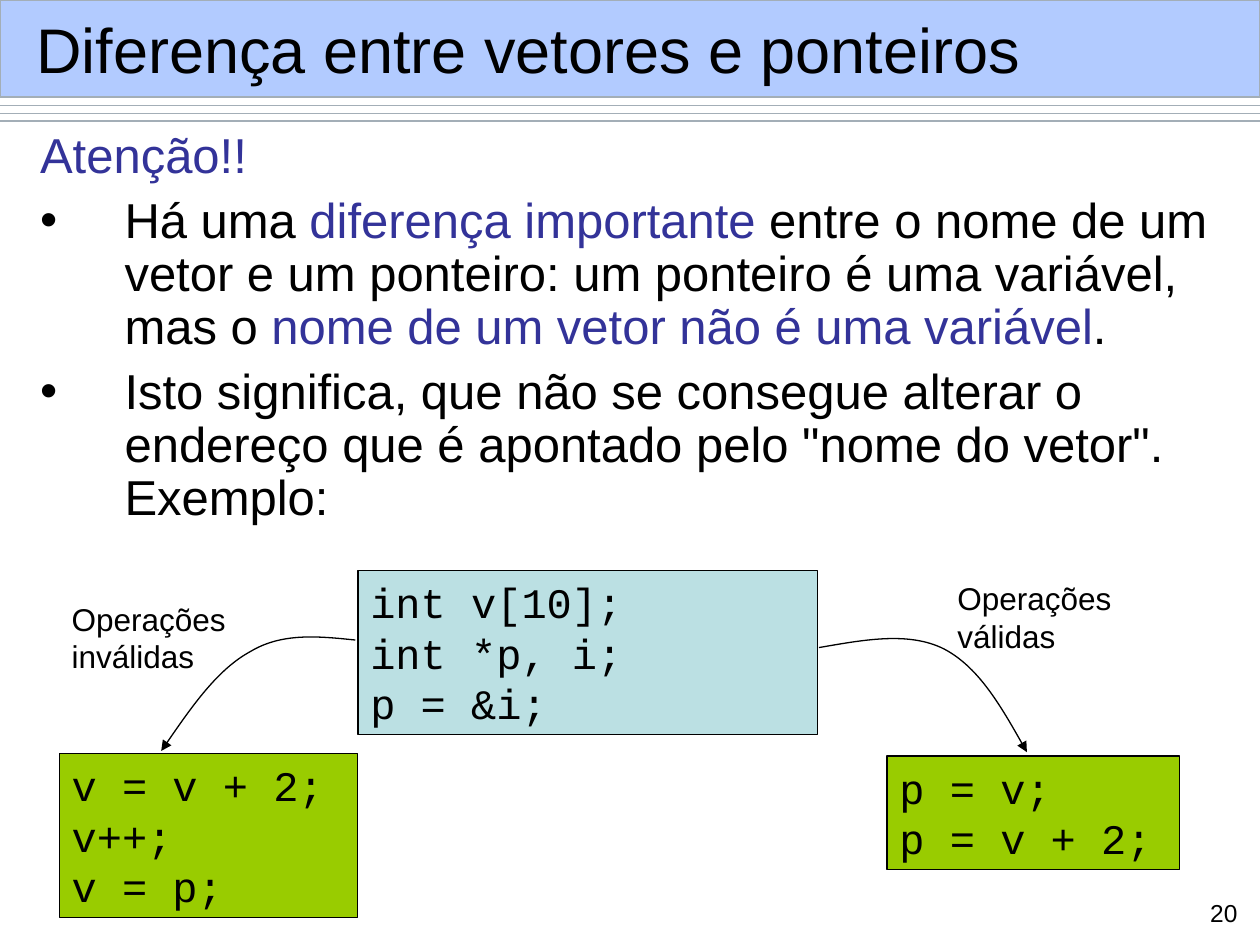
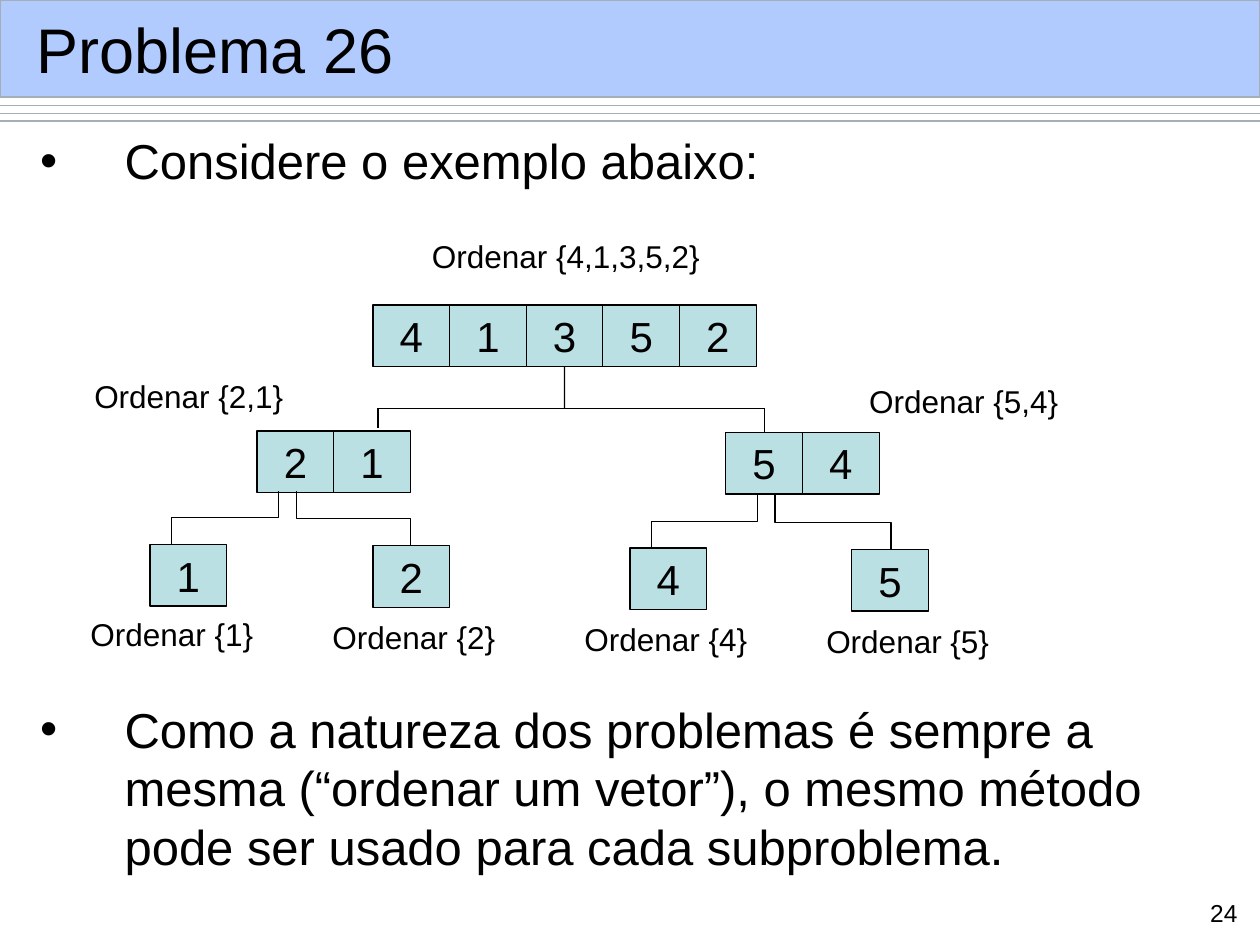
from lxml import etree
from pptx import Presentation, util as u
from pptx.dml.color import RGBColor
from pptx.enum import shapes, text
from pptx.oxml.ns import qn

BLACK = RGBColor(0x00, 0x00, 0x00)
ACCENT = RGBColor(0x33, 0x33, 0x99)
BAND = RGBColor(0x66, 0x99, 0xFF)
RULE = RGBColor(0xA3, 0xAE, 0xB7)
TEAL = RGBColor(0xBB, 0xE0, 0xE3)
GREEN = RGBColor(0x99, 0xCC, 0x00)
SANS, MONO = "Arial", "Courier New"
LEFT, CENTER, RIGHT = text.PP_ALIGN.LEFT, text.PP_ALIGN.CENTER, text.PP_ALIGN.RIGHT
TOP, MIDDLE = text.MSO_ANCHOR.TOP, text.MSO_ANCHOR.MIDDLE
STRAIGHT, ELBOW = shapes.MSO_CONNECTOR.STRAIGHT, shapes.MSO_CONNECTOR.ELBOW

deck = Presentation()
deck.slide_width, deck.slide_height = u.Inches(10), u.Inches(7.5)
COLUMN = deck.slide_width // 100
ROW = deck.slide_height // 75


def write(page, place, lines, size, font=SANS, fill=None, align=LEFT, anchor=TOP, wrap=True):
    left, top, width, height = place
    frame = (round(left * COLUMN), round(top * ROW), round(width * COLUMN), round(height * ROW))
    if fill is None:
        box = page.shapes.add_textbox(*frame)
    else:
        box = page.shapes.add_shape(shapes.MSO_SHAPE.RECTANGLE, *frame)
        box.shadow.inherit = False
        box.fill.solid()
        box.fill.fore_color.rgb = fill
        box.line.color.rgb = BLACK
        box.line.width = u.Pt(0.75)
    box.text_frame.word_wrap = wrap
    box.text_frame.vertical_anchor = anchor
    for number, line in enumerate(lines):
        para = box.text_frame.paragraphs[0] if number == 0 else box.text_frame.add_paragraph()
        para.alignment = align
        para.font.size = u.Pt(size)
        para.font.name = font
        para.font.color.rgb = BLACK
        for index, piece in enumerate(line.split("|")):
            span = para.add_run()
            span.text = piece
            if index % 2:
                span.font.color.rgb = ACCENT
    return box


def connect(page, start, end, colour=BLACK, kind=STRAIGHT):
    line = page.shapes.add_connector(
        kind, round(start[0] * COLUMN), round(start[1] * ROW), round(end[0] * COLUMN), round(end[1] * ROW))
    line.line.color.rgb = colour
    line.line.width = u.Pt(0.75)
    etree.SubElement(line.element.spPr, qn("a:effectLst"))
    return line


slides = [
    ("Diferença entre vetores e ponteiros", "20", 0.9, 7, [
        "Atenção!!",
        "Há uma |diferença importante |entre o nome de um vetor e um ponteiro: "
        "um ponteiro é uma variável, mas o |nome de um vetor não é uma variável|.",
        'Isto significa, que não se consegue alterar o endereço que é apontado pelo "nome do vetor". Exemplo:',
    ]),
    ("Problema 26", "24", 1.0, 291, [
        "Considere o exemplo abaixo:",
        "Como a natureza dos problemas é sempre a mesma (“ordenar um vetor”), "
        "o mesmo método pode ser usado para cada subproblema.",
    ]),
]
pages = []
for title, number, spacing, gap, lines in slides:
    page = deck.slides.add_slide(deck.slide_layouts[6])
    pages.append(page)
    for height in (8.4, 9, 9.6):
        connect(page, (0, height), (100, height), RULE)
    band = write(page, (0, 0, 100, 7.7), [], 36, fill=BAND)
    band.line.color.rgb = RULE
    tint = band.element.spPr.find(qn("a:solidFill"))[0]
    etree.SubElement(tint, qn("a:alpha"), val="50000")
    write(page, (1.9, 0.9, 96.4, 5.9), [title], 36, anchor=MIDDLE)
    body = write(page, (2.2, 9.9, 96.8, 62.4), lines, 28)
    for index, para in enumerate(body.text_frame.paragraphs):
        para.line_spacing = spacing
        para.space_before = u.Pt(gap if index else 7)
        props = para._p.get_or_add_pPr()
        props.set("marL", str(u.Inches(0.67)))
        props.set("indent", str(-u.Inches(0.67)))
        if para.text == "Atenção!!":
            para.font.color.rgb = ACCENT
        else:
            defaults = props.find(qn("a:defRPr"))
            defaults.addprevious(etree.Element(qn("a:buFont"), typeface=SANS))
            defaults.addprevious(etree.Element(qn("a:buChar"), char="•"))
    write(page, (94.4, 70.8, 4.8, 2.9), [number], 14, align=RIGHT)

pointers, sorting = pages

code_boxes = [
    ((28.4, 45.3, 36.5, 13), TEAL, ["int v[10];", "int *p, i;", "p = &i;"]),
    ((4.7, 59.8, 23.7, 13), GREEN, ["v = v + 2;", "v++;", "v = p;"]),
    ((70.4, 60, 23.2, 9), GREEN, ["p = v;", "p = v + 2;"]),
]
for place, fill, lines in code_boxes:
    write(pointers, place, lines, 24, MONO, fill)

captions = [
    (pointers, 4.7, 47.1, 16, ["Operações", "inválidas"]),
    (pointers, 75, 45.5, 16, ["Operações", "válidas"]),
    (sorting, 33.3, 18.3, 25, ["Ordenar {4,1,3,5,2}"]),
    (sorting, 6.5, 29.4, 18, ["Ordenar {2,1}"]),
    (sorting, 68, 29.8, 18, ["Ordenar {5,4}"]),
    (sorting, 6.2, 48.3, 16, ["Ordenar {1}"]),
    (sorting, 25.4, 48.6, 16, ["Ordenar {2}"]),
    (sorting, 45.4, 48.7, 16, ["Ordenar {4}"]),
    (sorting, 64.6, 48.9, 16, ["Ordenar {5}"]),
]
for page, left, top, width, lines in captions:
    write(page, (left, top, width, 1 + 3 * len(lines)), lines, 18)

curves = [
    [(28.2, 50.8), (25.3, 50.5), (22.4, 50.2), (19.9, 51.7), (17.3, 53.1), (15, 56.4), (12.8, 59.6)],
    [(65, 51.4), (68.5, 50.8), (72.1, 50.1), (74.9, 51.5), (77.6, 52.9), (79.6, 56.3), (81.5, 59.7)],
]
for points in curves:
    points = [(round(x * COLUMN), round(y * ROW)) for x, y in points]
    builder = pointers.shapes.build_freeform(*points[0])
    builder.add_line_segments(points[1:], close=False)
    arrow = builder.convert_to_shape()
    arrow.shadow.inherit = False
    arrow.fill.background()
    arrow.line.color.rgb = BLACK
    arrow.line.width = u.Pt(0.75)
    etree.SubElement(arrow.line._get_or_add_ln(), qn("a:tailEnd"), type="triangle")
    outline = arrow.element.find(".//" + qn("a:path"))
    steps = outline.findall(qn("a:lnTo"))
    for first in (0, 3):
        bend = etree.SubElement(outline, qn("a:cubicBezTo"))
        for step in steps[first:first + 3]:
            bend.append(step[0])
            outline.remove(step)

CELL_WIDTH, CELL_HEIGHT = 6.1, 4.9
vectors = [
    (29.6, 24.2, "41352"),
    (20.4, 34.2, "21"), (57.6, 34.3, "54"),
    (11.9, 43.2, "1"), (29.6, 43.3, "2"), (50, 43.5, "4"), (67.6, 43.6, "5"),
]
rows = []
for left, top, digits in vectors:
    rows.append([
        write(sorting, (left + index * 6.08, top, CELL_WIDTH, CELL_HEIGHT), [digit], 24,
              fill=TEAL, align=CENTER, anchor=MIDDLE, wrap=False)
        for index, digit in enumerate(digits)])

trunk = connect(sorting, (44.8, 29.1), (44.8, 32.4))
trunk.begin_connect(rows[0][2], 2)
connect(sorting, (30, 32.4), (60.65, 32.4))
connect(sorting, (30, 32.4), (30, 34))
branch = connect(sorting, (60.65, 32.4), (60.65, 34.3))
branch.end_connect(rows[2][0], 0)

elbows = [
    (22.1, 39, 13.6, 43.2), (23.5, 39, 32.6, 43.3),
    (60.1, 39.3, 51.7, 43.5), (61.5, 39.3, 70.7, 43.6),
]
for x1, y1, x2, y2 in elbows:
    middle_x, middle_y = (x1 + x2) / 2, (y1 + y2) / 2
    side = 1 if x2 > x1 else -1
    reach, drop = abs(x2 - x1) / 2, (y2 - y1) / 2
    elbow = connect(sorting, (middle_x + side * drop, middle_y - reach),
                    (middle_x - side * drop, middle_y + reach), kind=ELBOW)
    elbow.element.spPr.find(qn("a:xfrm")).set("rot", "16200000" if side > 0 else "5400000")

deck.save("out.pptx")
